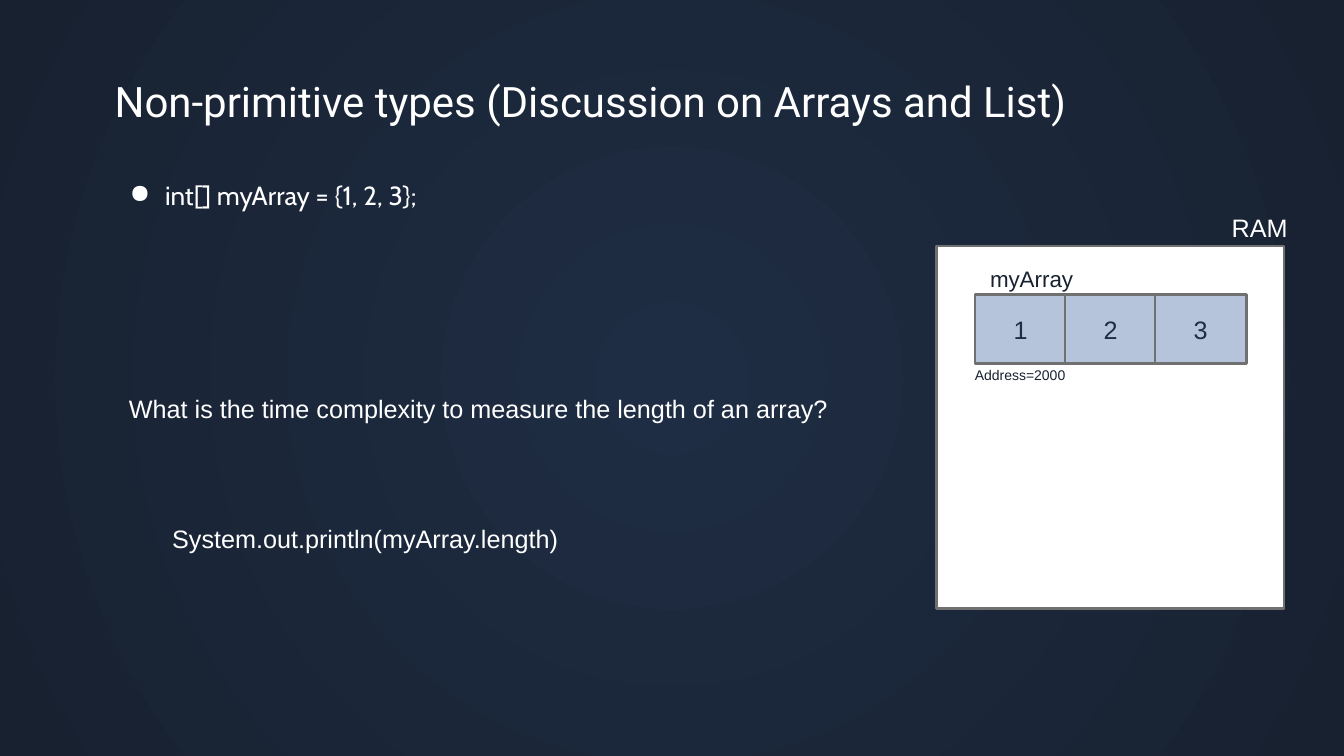
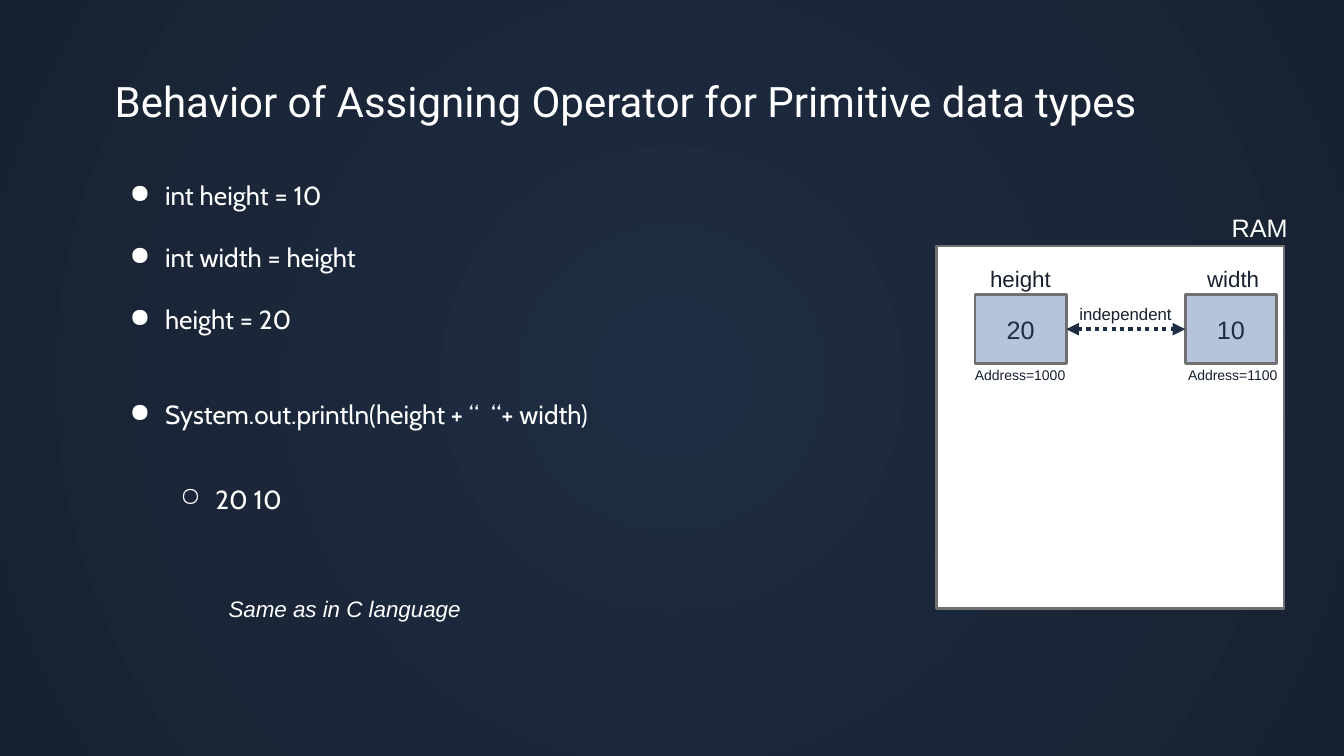
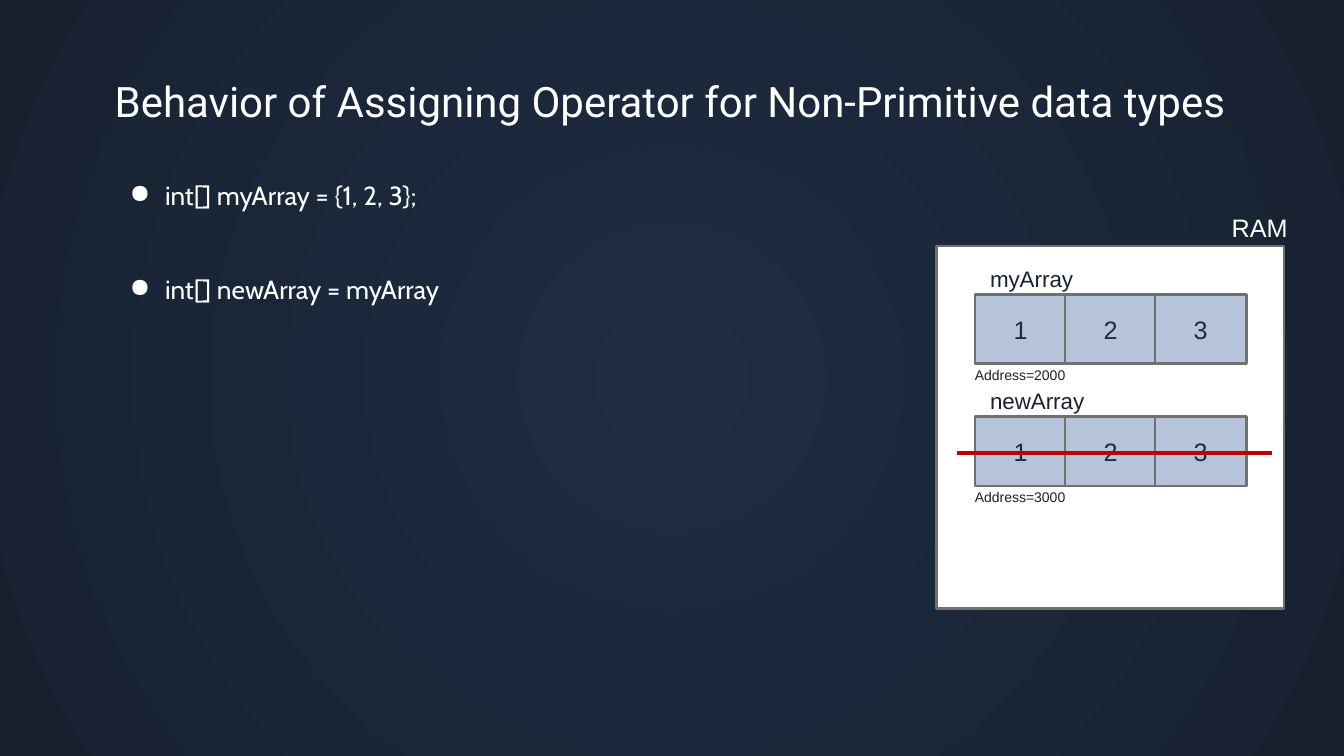
from dataclasses import dataclass

from pptx import Presentation
from pptx.dml.color import RGBColor
from pptx.enum.dml import MSO_LINE
from pptx.enum.shapes import MSO_CONNECTOR, MSO_SHAPE
from pptx.enum.text import MSO_ANCHOR, MSO_AUTO_SIZE, PP_ALIGN
from pptx.oxml.ns import qn
from pptx.util import Cm, Pt
from lxml.etree import SubElement as Sub


@dataclass(frozen=True)
class Theme:
    """Colours, fonts and type sizes shared by all slides."""
    navy: str = "1F2D44"
    ink: str = "172130"
    white: str = "FFFFFF"
    cell: str = "B5C4DB"
    border: str = "707070"
    strike: str = "C00000"
    title_font: str = "Roboto"
    body_font: str = "Cabin"
    label_font: str = "Arial"
    title_size: float = 30
    body_size: float = 18.7
    value_size: float = 18
    name_size: float = 16
    note_size: float = 12
    address_size: float = 10


@dataclass(frozen=True)
class Variable:
    """A named value or array stored in the memory panel."""
    name: str
    name_width: float
    values: tuple
    address: str
    left: float = 0.97
    top: float = 1.22
    name_inset: float = 0.13
    address_inset: float = -0.25


THEME = Theme()
TITLE_BOX = (2.64, 1.65, 28.58, 2.13)
BODY_BOX = (2.64, 4.27, 19.53, 12.65)
RAM_BOX = (23.6, 6.2, 8.76, 9.14)
CELL_WIDTH, CELL_HEIGHT, CELL_PITCH = 2.3, 1.75, 2.27
MY_ARRAY = Variable("myArray", 2.64, ("1", "2", "3"), "Address=2000")
NEW_ARRAY = Variable("newArray", 2.92, ("1", "2", "3"), "Address=3000", top=4.3)
HEIGHT = Variable("height", 2.06, ("20",), "Address=1000")
WIDTH = Variable("width", 1.83, ("10",), "Address=1100", left=6.27,
                 name_inset=0.3, address_inset=-0.18)


def rgb(colour):
    """Turn a hex string into a colour."""
    return RGBColor.from_string(colour)


def add_run(paragraph, text, font, size, colour, italic=False):
    """Add one formatted run to a paragraph."""
    run = paragraph.add_run()
    run.text = text
    run.font.name = font
    run.font.size = Pt(size)
    run.font.italic = italic
    run.font.color.rgb = rgb(colour)


def add_frame(slide, box):
    """Add a wrapping text box with even insets and return its frame."""
    frame = slide.shapes.add_textbox(*map(Cm, box)).text_frame
    frame.word_wrap = True
    frame.margin_top = frame.margin_bottom = Cm(0.25)
    frame.margin_left = frame.margin_right = Cm(0.25)
    return frame


def add_label(slide, box, text, size, colour=THEME.ink, italic=False):
    """Add a one-line label."""
    frame = slide.shapes.add_textbox(*map(Cm, box)).text_frame
    frame.word_wrap = False
    frame.auto_size = MSO_AUTO_SIZE.SHAPE_TO_FIT_TEXT
    add_run(frame.paragraphs[0], text, THEME.label_font, size, colour, italic)


def add_rectangle(slide, box, fill):
    """Add a flat rectangle with the common border."""
    rectangle = slide.shapes.add_shape(MSO_SHAPE.RECTANGLE, *map(Cm, box))
    rectangle.shadow.inherit = False
    rectangle.fill.solid()
    rectangle.fill.fore_color.rgb = rgb(fill)
    rectangle.line.color.rgb = rgb(THEME.border)
    rectangle.line.width = Pt(2)
    return rectangle


def add_line(slide, start, end, colour):
    """Add a straight line without a shadow."""
    line = slide.shapes.add_connector(MSO_CONNECTOR.STRAIGHT, *map(Cm, start + end))
    line.line.color.rgb = rgb(colour)
    line.line.width = Pt(3)
    Sub(line.element.spPr, qn("a:effectLst"))
    return line


def add_title(slide, box, text):
    """Place the slide title."""
    add_run(add_frame(slide, box).paragraphs[0], text,
            THEME.title_font, THEME.title_size, THEME.white)


def add_bullets(slide, box, bullets):
    """Place bullets given as text, level and space before in points."""
    frame = add_frame(slide, box)
    for index, (text, level, space) in enumerate(bullets):
        paragraph = frame.add_paragraph() if index else frame.paragraphs[0]
        paragraph.level = level
        paragraph.space_before = Pt(space)
        properties = paragraph._p.get_or_add_pPr()
        properties.set("marL", str(Cm(1.27 * (level + 1))))
        properties.set("indent", str(-Cm(0.89)))
        Sub(Sub(properties, qn("a:buClr")), qn("a:srgbClr"), val=THEME.white)
        Sub(properties, qn("a:buChar"), char="●○"[level])
        add_run(paragraph, text, THEME.body_font, THEME.body_size, THEME.white)


def add_variable(slide, origin, variable):
    """Draw a variable's cells, name and address; return the cells."""
    left, top = origin[0] + variable.left, origin[1] + variable.top
    cells = []
    for index, value in enumerate(variable.values):
        cell = add_rectangle(slide, (left + index * CELL_PITCH, top, CELL_WIDTH, CELL_HEIGHT),
                             THEME.cell)
        cell.text_frame.vertical_anchor = MSO_ANCHOR.MIDDLE
        paragraph = cell.text_frame.paragraphs[0]
        paragraph.alignment = PP_ALIGN.CENTER
        add_run(paragraph, value, THEME.label_font, THEME.value_size, THEME.navy)
        cells.append(cell)
    add_label(slide, (left + variable.name_inset, top - 0.86, variable.name_width, 0.94),
              variable.name, THEME.name_size)
    add_label(slide, (left + variable.address_inset, top + 1.68, 2.79, 0.69),
              variable.address, THEME.address_size)
    return cells


def add_ram(slide, box, variables):
    """Draw the memory panel; return the cells of each variable."""
    left, top = box[:2]
    add_rectangle(slide, box, THEME.white)
    add_label(slide, (left + 7.19, top - 0.97, 1.93, 1.02), "RAM", THEME.value_size, THEME.white)
    return [add_variable(slide, (left, top), variable) for variable in variables]


def add_independence(slide, box, first, second):
    """Join two cells with a dotted double arrow and its label."""
    middle = box[1] + HEIGHT.top + CELL_HEIGHT / 2
    start, end = box[0] + HEIGHT.left + CELL_WIDTH, box[0] + WIDTH.left
    arrow = add_line(slide, (start, middle), (end, middle), THEME.navy)
    arrow.begin_connect(first, 3)
    arrow.end_connect(second, 1)
    arrow.line.dash_style = MSO_LINE.ROUND_DOT
    for tip in ("a:headEnd", "a:tailEnd"):
        Sub(arrow.line._get_or_add_ln(), qn(tip), type="triangle")
    add_label(slide, ((start + end) / 2 - 1.42, middle - 0.76, 2.84, 0.76),
              "independent", THEME.note_size)


def add_strike(slide, box, variable):
    """Cross out a variable in the memory panel."""
    middle = box[1] + variable.top + CELL_HEIGHT / 2 + 0.04
    add_line(slide, (box[0] + 0.51, middle), (box[0] + 8.46, middle), THEME.strike)


def set_background(master):
    """Give the master the round navy gradient."""
    fill = master.background.fill
    fill.gradient()
    for stop, colour in zip(fill.gradient_stops, (THEME.navy, THEME.ink)):
        stop.color.rgb = rgb(colour)
    gradient = master.element.find(".//" + qn("a:gradFill"))
    gradient.remove(gradient.find(qn("a:lin")))
    circle = Sub(gradient, qn("a:path"), {"path": "circle"})
    Sub(circle, qn("a:fillToRect"), dict.fromkeys("ltrb", "50000"))


def add_code_slide(deck, title, bullets, variables):
    """Add a slide with title, code bullets and memory; return it and its cells."""
    slide = deck.slides.add_slide(deck.slide_layouts[6])
    add_title(slide, TITLE_BOX, title)
    add_bullets(slide, BODY_BOX, bullets)
    return slide, add_ram(slide, RAM_BOX, variables)


def main():
    """Build and save the deck."""
    deck = Presentation()
    deck.slide_width, deck.slide_height = Cm(33.87), Cm(19.05)
    set_background(deck.slide_master)
    declaration = ("int[] myArray = {1, 2, 3};", 0, 0)

    slide, _ = add_code_slide(deck, "Non-primitive types (Discussion on Arrays and List)",
                              [declaration], [MY_ARRAY])
    add_label(slide, (3, 9.78, 18.29, 1.02),
              "What is the time complexity to measure the length of an array?",
              THEME.value_size, THEME.white)
    add_label(slide, (4.09, 13.06, 10.34, 1.02), "System.out.println(myArray.length)",
              THEME.value_size, THEME.white)

    slide, cells = add_code_slide(
        deck, "Behavior of Assigning Operator for Primitive data types",
        [("int height = 10", 0, 0), ("int width = height", 0, 22), ("height = 20", 0, 22),
         ("System.out.println(height + “  “+ width)", 0, 45), ("20 10", 1, 38)],
        [HEIGHT, WIDTH])
    add_independence(slide, RAM_BOX, cells[0][0], cells[1][0])
    add_label(slide, (5.51, 14.88, 6.43, 0.94), "Same as in C language",
              THEME.name_size, THEME.white, italic=True)

    slide, _ = add_code_slide(
        deck, "Behavior of Assigning Operator for Non-Primitive data types",
        [declaration, ("int[] newArray = myArray", 0, 45)], [MY_ARRAY, NEW_ARRAY])
    add_strike(slide, RAM_BOX, NEW_ARRAY)

    deck.save("out.pptx")


if __name__ == "__main__":
    main()
